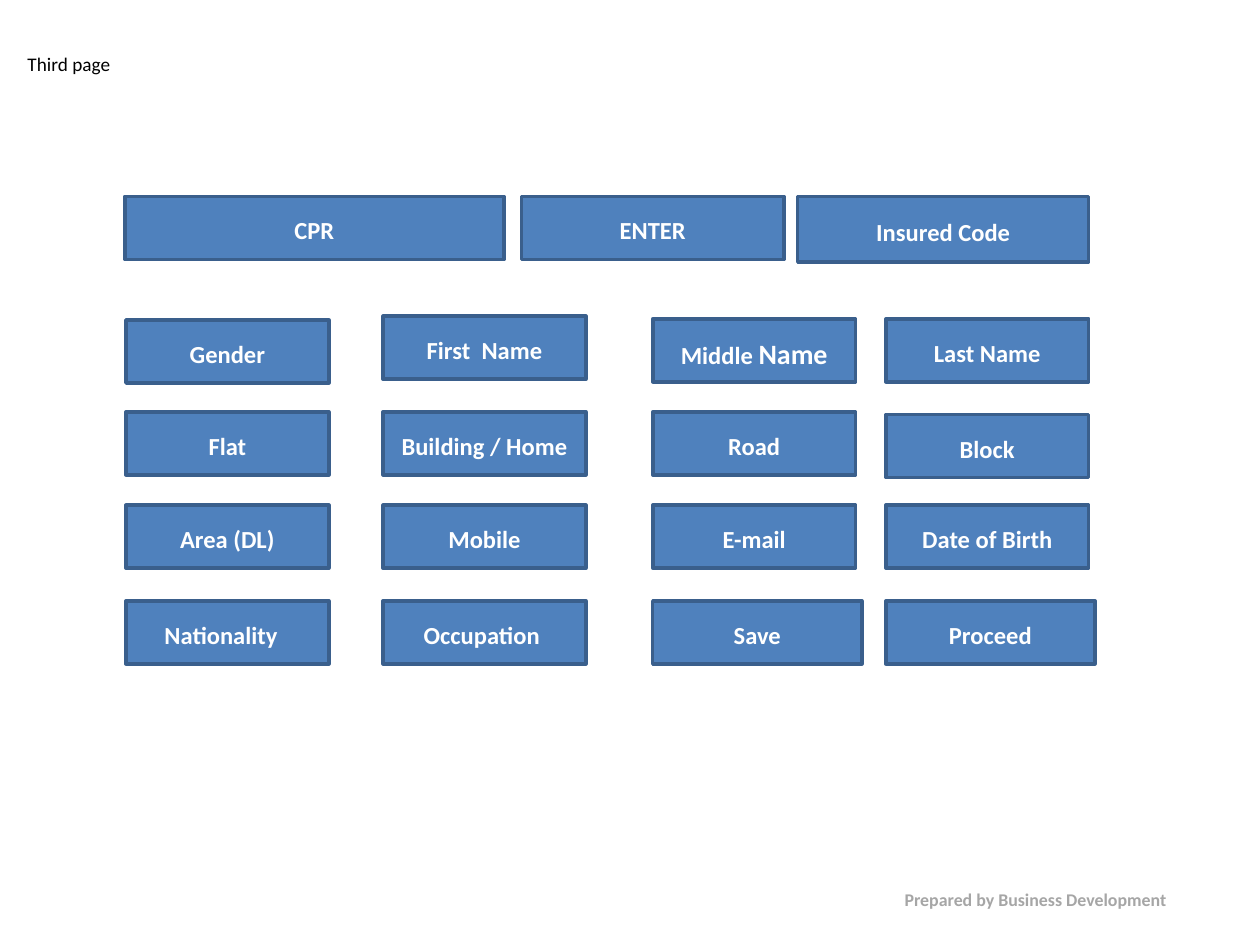
from pptx import Presentation
from pptx import util as u
from pptx.dml.color import RGBColor
from pptx.enum import shapes, text

# Content: top bar entries are (label, left, width, height)
TOP_BAR = [
    ("CPR", 71.3, 216.7, 36),
    ("ENTER", 298.1, 149.8, 36),
    ("Insured Code", 455.8, 166.3, 37.4),
]
FIELDS = [
    ["Gender", "First  Name", ("Middle ", "Name"), "Last Name"],
    ["Flat", "Building / Home", "Road", "Block"],
    ["Area (DL)", "Mobile", "E-mail", "Date of Birth"],
    ["Nationality\t", "Occupation ", "Save", "Proceed"],
]
BUTTONS = ("Save", "Proceed")

# Layout in points
TOP_BAR_TOP = 112.3
COLUMN_LEFTS = [72, 218.9, 373, 506.2]
ROW_TOPS = [182.2, 235.4, 288.7, 343.4]
TOP_SHIFTS = {"Gender": 0.7, "First  Name": -1.5, "Block": 1.5}
FIELD_WIDTH, BUTTON_WIDTH, FIELD_HEIGHT = 115.9, 119.5, 36

# Formats
LABEL = {"name": "Calibri", "size": u.Pt(14), "bold": True}
LARGE_LABEL = {**LABEL, "size": u.Pt(16)}
HEADING = {"name": "Calibri", "size": u.Pt(11), "bold": False}
FOOTER = {"name": "Calibri", "size": u.Pt(10.2), "bold": True}
FIELD_PARAGRAPH = {"alignment": text.PP_ALIGN.CENTER, "line_spacing": 1.15,
                   "space_after": u.Pt(10)}


def color(value):
    return RGBColor.from_string(value)


def apply(target, values):
    for name, value in values.items():
        setattr(target, name, value)


def add_run(paragraph, content, font_values, font_color):
    run = paragraph.add_run()
    run.text = content
    apply(run.font, font_values)
    run.font.color.rgb = color(font_color)


def add_field(slide, label, left, top, width, height):
    shape = slide.shapes.add_shape(shapes.MSO_SHAPE.RECTANGLE,
                                   *map(u.Pt, (left, top, width, height)))
    shape.shadow.inherit = False
    shape.fill.solid()
    shape.fill.fore_color.rgb = color("4F81BD")
    shape.line.color.rgb = color("3A5F8C")
    shape.line.width = u.Pt(2)
    apply(shape.text_frame, {"word_wrap": True,
                             "vertical_anchor": text.MSO_ANCHOR.MIDDLE})
    paragraph = shape.text_frame.paragraphs[0]
    apply(paragraph, FIELD_PARAGRAPH)
    parts = (label,) if isinstance(label, str) else label
    for part, font_values in zip(parts, (LABEL, LARGE_LABEL)):
        add_run(paragraph, part, font_values, "FFFFFF")


def add_text(slide, content, box, font_values, font_color, anchor):
    shape = slide.shapes.add_textbox(*map(u.Pt, box))
    apply(shape.text_frame, {"word_wrap": True, "vertical_anchor": anchor})
    paragraph = shape.text_frame.paragraphs[0]
    add_run(paragraph, content, font_values, font_color)
    return paragraph


def main():
    presentation = Presentation()
    presentation.slide_width, presentation.slide_height = u.Pt(720), u.Pt(540)
    slide = presentation.slides.add_slide(presentation.slide_layouts[6])

    # Top bar
    for label, left, width, height in TOP_BAR:
        add_field(slide, label, left, TOP_BAR_TOP, width, height)

    # Field grid
    for row_top, labels in zip(ROW_TOPS, FIELDS):
        for left, label in zip(COLUMN_LEFTS, labels):
            top = row_top + TOP_SHIFTS.get(label, 0)
            width = BUTTON_WIDTH if label in BUTTONS else FIELD_WIDTH
            add_field(slide, label, left, top, width, FIELD_HEIGHT)

    # Heading and footer
    add_text(slide, "Third page\t", (8.6, 25.9, 311.8, 20.9), HEADING,
             "000000", text.MSO_ANCHOR.MIDDLE)
    footer = add_text(slide, "\tPrepared by Business Development",
                      (473.8, 504, 234, 18), FOOTER, "A6A6A6",
                      text.MSO_ANCHOR.TOP)
    footer.space_before = u.Pt(2)

    presentation.save("out.pptx")


if __name__ == "__main__":
    main()
